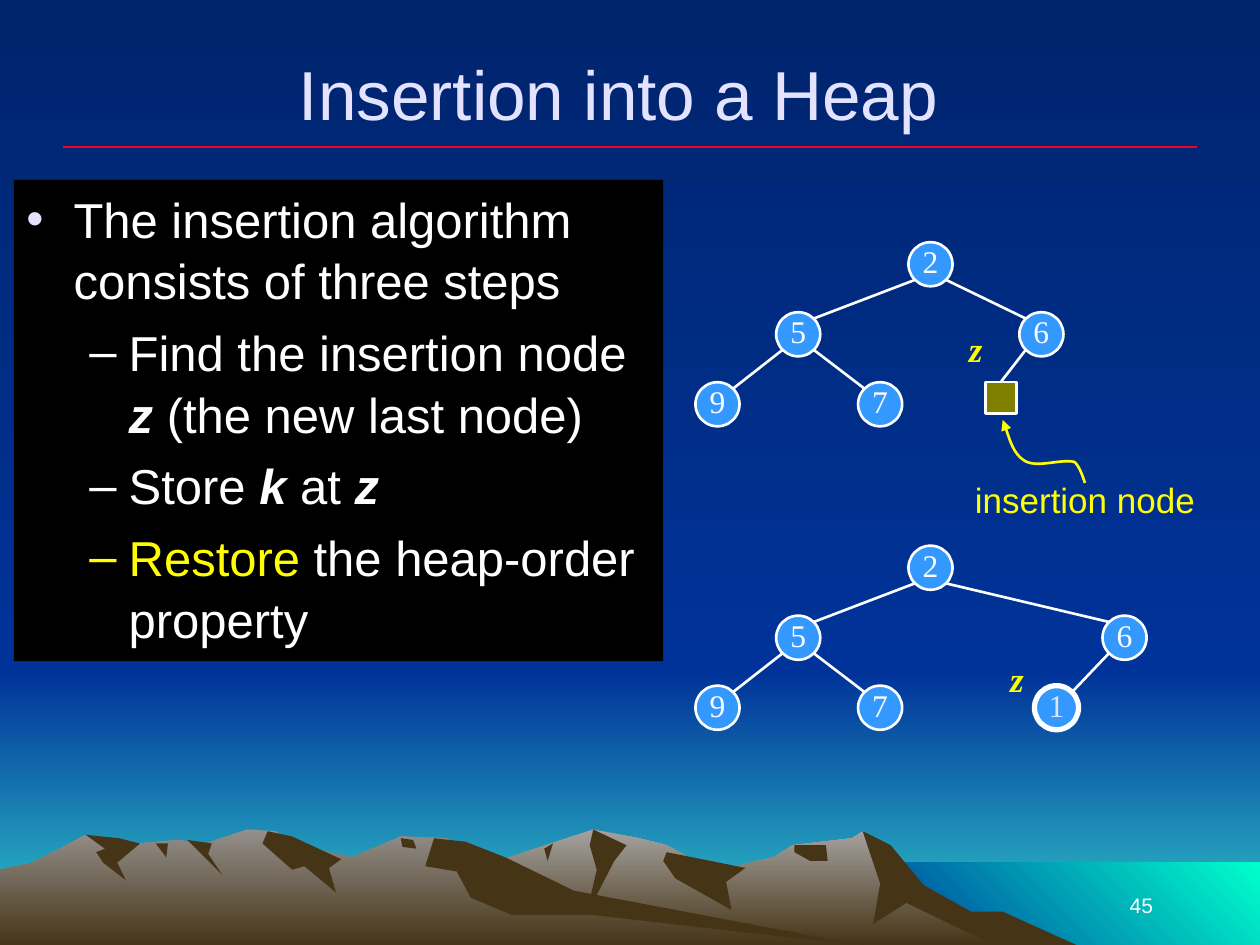
from lxml.etree import SubElement
from pptx import Presentation
from pptx.dml.color import RGBColor
from pptx.enum.shapes import MSO_CONNECTOR, MSO_SHAPE
from pptx.enum.text import MSO_ANCHOR, PP_ALIGN
from pptx.oxml.ns import qn
from pptx.util import Pt

WHITE = RGBColor.from_string("FFFFFF")
BLACK = RGBColor.from_string("000000")
LAVENDER = RGBColor.from_string("E3E3FF")
YELLOW = RGBColor.from_string("FFFF00")
RED = RGBColor.from_string("EF0129")
NODE_BLUE = RGBColor.from_string("3399FF")
OLIVE = RGBColor.from_string("808000")
NIGHT = RGBColor.from_string("00246D")
DEEP = RGBColor.from_string("003399")
TEAL = RGBColor.from_string("33CCCC")
AQUA = RGBColor.from_string("00FFCC")
BROWN = RGBColor.from_string("463416")
STONE = RGBColor.from_string("A5A29F")
GREY_STONE = RGBColor.from_string("938F8B")
SANS, SERIF = "Arial", "Times New Roman"
DOWN, UP_RIGHT = 270, 45
WIDTH, HEIGHT, HORIZON, SEA_X, SEA_Y = 720, 540, 384, 492, 493

BOLD_ITALIC = {"bold": True, "italic": True}
BULLETS = [
    (0, [("The insertion algorithm consists of three steps", {})]),
    (1, [("Find the insertion node ", {}), ("z", BOLD_ITALIC), (" (the new last node)", {})]),
    (1, [("Store ", {}), ("k", BOLD_ITALIC), (" at ", {}), ("z", BOLD_ITALIC)]),
    (1, [("Restore ", {"color": YELLOW}), ("the heap-order property", {})]),
]
# bullet sign, left margin, hanging indent, bullet colour
LEVELS = [("•", 27, -27, LAVENDER), ("–", 58.5, -22.5, None)]

# key: (centre x, level, parent)
SHARED = {"2": (531.7, 0, None), "5": (456.1, 1, "2"), "9": (410, 2, "5"), "7": (502.9, 2, "5")}
HEAP_BEFORE = {**SHARED, "6": (595.1, 1, "2")}
HEAP_AFTER = {**SHARED, "6": (642.6, 1, "2"), "1": (603.7, 2, "6")}
TOP_BEFORE, TOP_AFTER, LEVEL_STEP = 151, 324.4, 40
NODE_SIZE, EDGE_OFFSET, SLOT_SIZE = 25.2, 9, 18
SLOT_X, SLOT_Y = 572, 218.2
POINTER = [(620, 276), (617, 266), (614, 264), (606, 262),
           (592, 268), (585, 263), (579, 259), (575, 245), (573, 240)]
POINTER.insert(1, POINTER[0])

# Mountains in points: fill colours, corners
MOUNTAINS = [
    ((STONE, BROWN), [
        (186, 540), (291, 490), (339, 474), (365, 479), (381, 483), (408, 498), (442, 490),
        (453, 483), (487, 479), (493, 475), (521, 502), (550, 520), (591, 540)]),
    ((BROWN,), [
        (493, 475), (503, 505), (499, 528), (518, 516), (570, 541), (615, 540), (573, 521),
        (555, 521), (528, 506), (509, 483)]),
    ((BROWN,), [
        (339, 474), (337, 483), (341, 497), (335, 523), (351, 492), (358, 483)]),
    ((BROWN,), [(381, 487), (379, 492), (386, 502), (418, 520), (415, 504), (426, 496)]),
    ((BROWN,), [(454, 483), (454, 487), (463, 492), (473, 492), (472, 483)]),
    ((BROWN,), [(311, 485), (316, 482), (313, 492)]),
    ((GREY_STONE, BROWN), [
        (497, 541), (311, 513), (255, 479), (229, 478), (201, 490), (187, 487), (170, 490),
        (158, 475), (141, 474), (115, 483), (103, 480), (68, 483), (49, 477), (19, 493),
        (0, 497), (0, 541)]),
    ((BROWN,), [
        (153, 475), (150, 482), (167, 497), (174, 495), (192, 510), (188, 496), (195, 491),
        (167, 478)]),
    ((BROWN,), [
        (248, 479), (243, 495), (261, 498), (269, 513), (293, 523), (340, 523), (497, 541),
        (328, 509), (289, 490), (266, 481)]),
    ((BROWN,), [(229, 479), (236, 480), (238, 485), (230, 484)]),
    ((BROWN,), [(107, 480), (121, 482), (119, 488), (127, 500)]),
    ((BROWN,), [(89, 482), (96, 482), (95, 490)]),
    ((BROWN,), [
        (49, 477), (68, 479), (80, 482), (67, 493), (72, 503), (59, 493), (55, 487), (60, 485)]),
]


def paint(fill, colors, angle=DOWN):
    """Fill with one colour, or with a gradient between two."""
    if len(colors) == 1:
        fill.solid()
        fill.fore_color.rgb = colors[0]
        return
    fill.gradient()
    fill.gradient_angle = angle
    for position, (stop, color) in enumerate(zip(fill.gradient_stops, colors)):
        stop.position, stop.color.rgb = position, color


def outline(corners, close=True):
    """Build a freeform from corners in points."""
    corners = [(Pt(x), Pt(y)) for x, y in corners]
    builder = page.shapes.build_freeform(*corners[0], scale=1.0)
    builder.add_line_segments(corners[1:], close=close)
    shape = builder.convert_to_shape()
    shape.shadow.inherit = False
    return shape


def add_line(start, end, color=WHITE, width=1.5):
    line = page.shapes.add_connector(MSO_CONNECTOR.STRAIGHT, *map(Pt, (*start, *end)))
    line.line.color.rgb, line.line.width = color, Pt(width)
    SubElement(line._element.spPr, qn("a:effectLst"))


def add_shape(kind, x, y, width, height, colors, angle=DOWN, line=None, line_width=1.5):
    shape = page.shapes.add_shape(kind, Pt(x), Pt(y), Pt(width), Pt(height))
    shape.shadow.inherit = False
    paint(shape.fill, colors, angle)
    if line is None:
        shape.line.fill.background()
    else:
        shape.line.color.rgb, shape.line.width = line, Pt(line_width)
    return shape


def add_span(para, text, size, color=WHITE, font=SANS, bold=False, italic=False):
    span = para.add_run()
    span.text = text
    span.font.size, span.font.name, span.font.color.rgb = Pt(size), font, color
    span.font.bold, span.font.italic = bold, italic


def add_text(text, x, y, width, height, align=PP_ALIGN.LEFT, anchor=MSO_ANCHOR.TOP,
             wrap=False, **style):
    frame = page.shapes.add_textbox(Pt(x), Pt(y), Pt(width), Pt(height)).text_frame
    frame.word_wrap, frame.vertical_anchor = wrap, anchor
    frame.paragraphs[0].alignment = align
    add_span(frame.paragraphs[0], text, **style)


def add_bullet(para, sign, margin, indent, color):
    props = para._p.get_or_add_pPr()
    props.set("marL", str(Pt(margin)))
    props.set("indent", str(Pt(indent)))
    if color is not None:
        SubElement(SubElement(props, qn("a:buClr")), qn("a:srgbClr"), val=str(color))
    SubElement(props, qn("a:buFont"), typeface=SANS)
    SubElement(props, qn("a:buChar"), char=sign)


def add_heap(heap, top, new_key=None):
    for key, (x, level, parent) in heap.items():
        y = top + level * LEVEL_STEP
        if parent:
            parent_x = heap[parent][0]
            side = EDGE_OFFSET if x > parent_x else -EDGE_OFFSET
            add_line((parent_x + side, y - LEVEL_STEP + EDGE_OFFSET), (x - side, y - EDGE_OFFSET))
        is_new = key == new_key
        node = add_shape(MSO_SHAPE.OVAL, x - NODE_SIZE / 2, y - NODE_SIZE / 2, NODE_SIZE,
                         NODE_SIZE, [NODE_BLUE], line=WHITE, line_width=3 if is_new else 1.5)
        frame = node.text_frame
        frame.margin_left = frame.margin_right = frame.margin_top = 0
        frame.margin_bottom = Pt(3.6)
        frame.word_wrap, frame.vertical_anchor = False, MSO_ANCHOR.MIDDLE
        frame.paragraphs[0].alignment = PP_ALIGN.CENTER
        add_span(frame.paragraphs[0], key, 18, LAVENDER if is_new else WHITE, SERIF)


def add_pointer(points):
    """Draw a curved arrow through Bezier control points."""
    arrow = outline(points, close=False)
    arrow.fill.background()
    arrow.line.color.rgb, arrow.line.width = YELLOW, Pt(1.5)
    SubElement(arrow.line._get_or_add_ln(), qn("a:tailEnd"), type="triangle")
    track = next(arrow._element.iter(qn("a:path")))
    steps = track.findall(qn("a:lnTo"))
    for first in range(0, len(steps), 3):
        curve = SubElement(track, qn("a:cubicBezTo"))
        for step in steps[first:first + 3]:
            curve.append(step[0])
            track.remove(step)


deck = Presentation()
deck.slide_width, deck.slide_height = Pt(WIDTH), Pt(HEIGHT)
page = deck.slides.add_slide(deck.slide_layouts[6])
paint(page.background.fill, (NIGHT, DEEP))
add_shape(MSO_SHAPE.RECTANGLE, 0, HORIZON, WIDTH, HEIGHT - HORIZON, (DEEP, TEAL))
add_shape(MSO_SHAPE.RECTANGLE, 0, 0, WIDTH, HORIZON, (NIGHT, DEEP))
add_shape(MSO_SHAPE.RECTANGLE, SEA_X, SEA_Y, WIDTH - SEA_X, HEIGHT - SEA_Y, (DEEP, AQUA), UP_RIGHT)
for colors, corners in MOUNTAINS:
    mountain = outline(corners)
    paint(mountain.fill, colors)
    mountain.line.fill.background()

add_line((36, 84), (684, 84), RED, 0.75)
add_text("45", 516, 492, 150, 36, PP_ALIGN.RIGHT, MSO_ANCHOR.BOTTOM, wrap=True, size=12)
add_text("Insertion into a Heap", 155.5, 8, 396, 90, PP_ALIGN.CENTER, MSO_ANCHOR.MIDDLE,
         wrap=True, size=39.6, color=LAVENDER)

body = add_shape(MSO_SHAPE.RECTANGLE, 8, 102.8, 371, 275, [BLACK]).text_frame
body.word_wrap, body.vertical_anchor = True, MSO_ANCHOR.TOP
for index, (level, spans) in enumerate(BULLETS):
    para = body.add_paragraph() if index else body.paragraphs[0]
    add_bullet(para, *LEVELS[level])
    para.level, para.alignment, para.line_spacing = level, PP_ALIGN.LEFT, 1.05
    if index:
        para.space_before = Pt(5.6)
    for text, style in spans:
        add_span(para, text, 28, **style)

add_line((HEAP_BEFORE["6"][0] - EDGE_OFFSET, TOP_BEFORE + LEVEL_STEP + EDGE_OFFSET),
         (SLOT_X, SLOT_Y))
add_shape(MSO_SHAPE.RECTANGLE, SLOT_X - SLOT_SIZE / 2, SLOT_Y, SLOT_SIZE, SLOT_SIZE, [OLIVE],
          line=WHITE)
add_heap(HEAP_BEFORE, TOP_BEFORE)
add_heap(HEAP_AFTER, TOP_AFTER, new_key="1")
add_pointer(POINTER)
add_text("insertion node", 550, 270, 153.4, 31.7, size=20, color=YELLOW)
for x, y in [(546.5, 183.6), (570.2, 372.2)]:
    add_text("z", x, y, 22.3, 31.7, size=20, color=YELLOW, font=SERIF, **BOLD_ITALIC)

deck.save("out.pptx")
